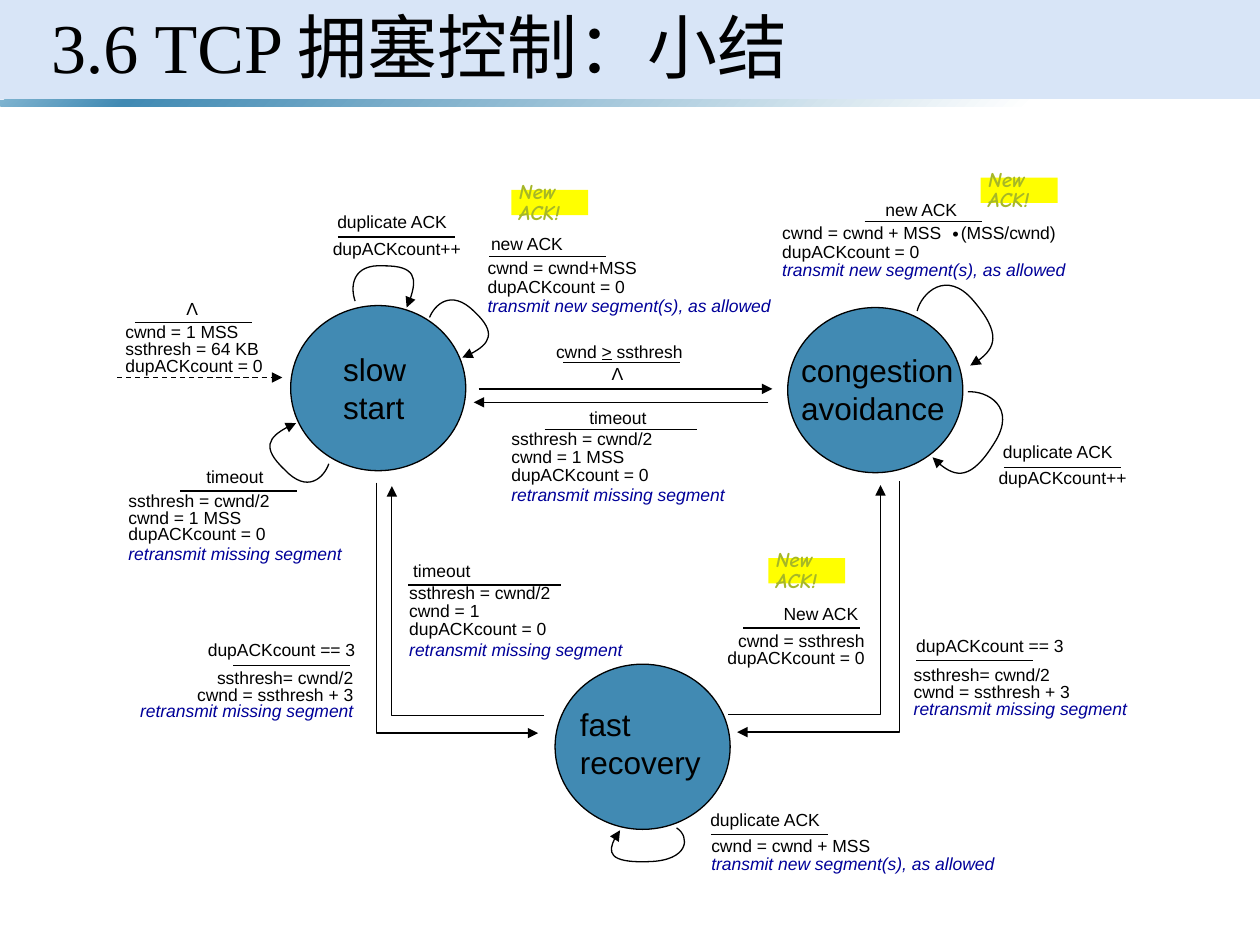
from dataclasses import dataclass

from lxml import etree
from pptx import Presentation, util as u
from pptx.dml.color import RGBColor
from pptx.enum import dml, shapes, text
from pptx.oxml import parse_xml
from pptx.oxml.ns import nsdecls, qn


@dataclass(frozen=True)
class Theme:
    ink: str = "000000"
    action: str = "000099"
    state: str = "418AB3"
    header: str = "C8DAF4"
    badge: str = "FFFF00"
    badge_ink: str = "A6B727"
    band: tuple = ((0, "7EB3D0"), (10, "418AB3"), (82, "FFFFFF"), (96, "FFFFFF"))
    sans: str = "Arial"
    serif: str = "Times New Roman"
    hand: str = "Comic Neue"
    label_size: int = 10
    badge_size: int = 12
    state_size: int = 18
    dot_size: int = 24
    title_size: int = 40
    stroke: float = 0.75


MISSING = "retransmit missing segment"
TRANSMIT = "transmit new segment(s), as allowed"
ACTIONS = (MISSING, TRANSMIT)
RESET = "dupACKcount = 0"

# Box width in cm for every text that sets the width of its box
WIDTHS = {
    "Λ": 0.76, "timeout": 1.75, "new ACK": 1.98, "New ACK": 2.03,
    "duplicate ACK": 2.76, "cwnd > ssthresh": 3.05, "dupACKcount++": 3.1,
    RESET: 3.28, "dupACKcount == 3": 3.48, MISSING: 4.83, TRANSMIT: 6.22,
}


def cm_points(points):
    return [(u.Cm(x), u.Cm(y)) for x, y in points]


class Diagram:
    def __init__(self, slide, theme):
        self.slide, self.theme = slide, theme

    def block(self, kind, x, y, width, height, fill, outlined=False):
        shape = self.slide.shapes.add_shape(kind, u.Cm(x), u.Cm(y), u.Cm(width), u.Cm(height))
        shape.shadow.inherit = False
        shape.fill.solid()
        shape.fill.fore_color.rgb = RGBColor.from_string(fill)
        if outlined:
            self.stroke(shape)
        else:
            shape.line.fill.background()
        return shape

    def stroke(self, shape, arrow=False, dashed=False):
        shape.line.color.rgb = RGBColor.from_string(self.theme.ink)
        shape.line.width = u.Pt(self.theme.stroke)
        if dashed:
            shape.line.dash_style = dml.MSO_LINE.DASH
        if arrow:
            etree.SubElement(shape.line._get_or_add_ln(), qn("a:tailEnd"), type="triangle")

    def line(self, x1, y, x2, arrow=False, dashed=False):
        """Horizontal line, its arrowhead at x2."""
        line = self.slide.shapes.add_connector(
            shapes.MSO_CONNECTOR.STRAIGHT, u.Cm(x1), u.Cm(y), u.Cm(x2), u.Cm(y))
        etree.SubElement(line._element.spPr, qn("a:effectLst"))
        self.stroke(line, arrow, dashed)

    def route(self, points):
        """Open arrow with straight legs."""
        start, *rest = cm_points(points)
        builder = self.slide.shapes.build_freeform(*start)
        builder.add_line_segments(rest, close=False)
        route = builder.convert_to_shape()
        route.shadow.inherit = False
        route.fill.background()
        self.stroke(route, arrow=True)
        return route

    def loop(self, points):
        """Open arrow of cubic curves: each three points after the first make one."""
        outline = self.route(points)._element.spPr.find(".//" + qn("a:path"))
        legs = outline.findall(qn("a:lnTo"))
        for first in range(0, len(legs), 3):
            curve = etree.SubElement(outline, qn("a:cubicBezTo"))
            for leg in legs[first:first + 3]:
                curve.append(leg[0])
                outline.remove(leg)

    def words(self, lines, x, y, width, height, size, font=None, color=None,
              spacing=1.0, right=False, wrap=False, bold=False, italic=False):
        box = self.slide.shapes.add_textbox(u.Cm(x), u.Cm(y), u.Cm(width), u.Cm(height))
        frame = box.text_frame
        frame.text = "\n".join(lines)
        frame.word_wrap = wrap
        frame.auto_size = text.MSO_AUTO_SIZE.SHAPE_TO_FIT_TEXT
        for line, paragraph in zip(lines, frame.paragraphs):
            paragraph.line_spacing = spacing
            paragraph.alignment = text.PP_ALIGN.RIGHT if right else text.PP_ALIGN.LEFT
            if "\t" in line:
                stops = etree.SubElement(paragraph._p.get_or_add_pPr(), qn("a:tabLst"))
                etree.SubElement(stops, qn("a:tab"), pos=str(u.Cm(3.6)), algn="l")
            for run in paragraph.runs:
                action = line in ACTIONS
                run.font.size = u.Pt(size)
                run.font.name = font or self.theme.sans
                run.font.bold = bold
                run.font.italic = italic or action
                run.font.color.rgb = RGBColor.from_string(
                    self.theme.action if action else color or self.theme.ink)
        return frame

    def label(self, event, event_at, rule_at, actions, actions_at,
              spacing=0.8, rule=2.36, right=False):
        """An event above a rule, with the resulting actions below it."""
        size = self.theme.label_size
        self.words([event], *event_at, WIDTHS[event], 0.69, size, right=right)
        self.line(rule_at[0], rule_at[1], rule_at[0] + rule)
        width = max(WIDTHS.get(action, 0) for action in actions)
        frame = self.words(actions, *actions_at, width, 0.25 + 0.37 * len(actions),
                           size, spacing=spacing, right=right)
        if len(actions) == 4:
            frame.paragraphs[-1].space_before = u.Pt(1.5)

    def state(self, names, x, y, names_x, names_y, names_width):
        self.block(shapes.MSO_SHAPE.OVAL, x, y, 3.53, 3.33, self.theme.state, outlined=True)
        self.words(names, names_x, names_y, names_width, 1.78, self.theme.state_size)

    def badge(self, x, y):
        self.block(shapes.MSO_SHAPE.RECTANGLE, x, y, 1.55, 0.51, self.theme.badge)
        self.words(["New", "ACK!"], x - 0.1, y - 0.25, 1.75, 1.07, self.theme.badge_size,
                   self.theme.hand, self.theme.badge_ink, 0.8, wrap=True, bold=True, italic=True)

    def header(self, title):
        rectangle = shapes.MSO_SHAPE.RECTANGLE
        panel = self.block(rectangle, 0, 0, 25.4, 2.01, self.theme.header)
        tint = panel._element.spPr.find(".//" + qn("a:srgbClr"))
        etree.SubElement(tint, qn("a:alpha"), val="70000")
        band = self.block(rectangle, 0, 2.01, 25.4, 0.13, self.theme.state)
        stops = "".join(f'<a:gs pos="{at * 1000}"><a:srgbClr val="{color}"/></a:gs>'
                        for at, color in self.theme.band)
        solid = band._element.spPr.find(qn("a:solidFill"))
        solid.getparent().replace(solid, parse_xml(
            f'<a:gradFill {nsdecls("a")}><a:gsLst>{stops}</a:gsLst>'
            '<a:lin ang="2700000" scaled="0"/></a:gradFill>'))
        frame = self.words([title], 0.78, 0, 23.88, 2.06, self.theme.title_size,
                           self.theme.serif, spacing=0.9, wrap=True)
        frame.auto_size = text.MSO_AUTO_SIZE.NONE
        frame.vertical_anchor = text.MSO_ANCHOR.MIDDLE


def main():
    deck = Presentation()
    deck.slide_width, deck.slide_height = u.Cm(25.4), u.Cm(19.05)
    theme = Theme()
    fsm = Diagram(deck.slides.add_slide(deck.slide_layouts[6]), theme)
    fsm.header("3.6 TCP 拥塞控制：小结")

    fsm.state(["slow", "start"], 5.86, 6.16, 6.67, 6.93, 1.96)
    fsm.state(["congestion", "avoidance"], 15.88, 6.2, 15.9, 6.96, 3.58)
    fsm.state(["fast", "recovery"], 11.19, 13.39, 11.44, 14.09, 3.12)

    # Transitions between states
    fsm.line(2.36, 7.61, 5.69, arrow=True, dashed=True)
    fsm.line(9.65, 7.84, 15.57, arrow=True)
    fsm.line(15.49, 8.11, 9.55, arrow=True)
    for route in (
        [(7.59, 9.73), (7.59, 14.78), (10.85, 14.78)],
        [(10.97, 14.43), (7.9, 14.43), (7.9, 9.8)],
        [(18.14, 9.7), (18.14, 14.76), (14.86, 14.76)],
        [(14.68, 14.4), (17.75, 14.4), (17.75, 9.78)],
    ):
        fsm.route(route)

    # Transitions back to the same state
    for loop in (
        [(7.16, 6.07), (7.06, 5.79), (7.09, 5.31), (7.75, 5.36), (8.38, 5.36), (8.43, 5.69), (8.2, 6.2)],
        [(8.66, 6.4), (8.76, 6.15), (9.09, 5.82), (9.55, 6.27), (10.03, 6.71), (9.83, 7.01), (9.32, 7.21)],
        [(6.63, 9.35), (6.53, 9.63), (6.2, 9.96), (5.74, 9.47), (5.26, 9.02), (5.46, 8.74), (5.97, 8.53)],
        [(18.49, 6.27), (18.57, 5.92), (19.08, 5.41), (19.63, 6.07), (20.19, 6.73), (20.04, 7.11), (19.56, 7.37)],
        [(19.51, 7.9), (19.89, 7.87), (20.52, 8.2), (20.04, 8.94), (19.58, 9.68), (19.18, 9.63), (18.8, 9.22)],
        [(13.64, 16.69), (13.92, 16.87), (13.89, 17.35), (13.08, 17.37), (12.24, 17.4), (12.24, 17.07), (12.5, 16.74)],
    ):
        fsm.loop(loop)

    halve, restart, inflate = "ssthresh = cwnd/2", "cwnd = 1 MSS", "cwnd = ssthresh + 3"
    timeout_actions = [halve, restart, RESET, MISSING]
    triple_actions = ["ssthresh= cwnd/2", inflate, MISSING]
    duplicate, triple = "duplicate ACK", "dupACKcount == 3"

    fsm.label("Λ", (3.51, 5.88), (2.72, 6.5), [restart, "ssthresh = 64 KB", RESET], (2.28, 6.43))
    fsm.label(duplicate, (6.55, 4.13), (6.81, 4.78), ["dupACKcount++"], (6.46, 4.75))
    fsm.label("new ACK", (9.65, 4.57), (9.86, 5.17),
              ["cwnd = cwnd+MSS", RESET, TRANSMIT], (9.58, 5.11), 0.9)
    fsm.label("timeout", (3.91, 9.27), (3.63, 9.9), timeout_actions, (2.34, 9.83))
    fsm.label("cwnd > ssthresh", (10.96, 6.75), (11.35, 7.31), ["Λ"], (12.08, 7.27))
    fsm.line(12.14, 7.24, 12.34)
    fsm.label("timeout", (11.63, 8.08), (10.98, 8.66), timeout_actions, (10.06, 8.57), 0.85, 3.08)
    fsm.label("new ACK", (17.6, 3.89), (17.43, 4.47),
              ["cwnd = cwnd + MSS\t(MSS/cwnd)", RESET, TRANSMIT], (15.52, 4.39), 0.9)
    fsm.words(["."], 18.91, 3.8, 0.71, 1.27, theme.dot_size, theme.serif)
    fsm.label(duplicate, (19.97, 8.76), (20.24, 9.42), ["dupACKcount++"], (19.88, 9.37))
    fsm.label(triple, (3.93, 12.76), (4.7, 13.41), triple_actions, (2.54, 13.4), right=True)
    fsm.label("timeout", (8.08, 11.17), (8.23, 11.79),
              [halve, "cwnd = 1", RESET, MISSING], (8, 11.68), 0.85, 3.08)
    fsm.label("New ACK", (15.52, 12.03), (14.98, 12.66),
              ["cwnd = ssthresh", RESET], (14.4, 12.66), right=True)
    fsm.label(triple, (18.22, 12.68), (18.47, 13.31), triple_actions, (18.17, 13.35))
    fsm.label(duplicate, (14.07, 16.18), (14.33, 16.83),
              ["cwnd = cwnd + MSS", TRANSMIT], (14.09, 16.77), 0.85)

    for corner in ((15.49, 11.25), (10.31, 3.83), (19.77, 3.58)):
        fsm.badge(*corner)
    deck.save("out.pptx")


if __name__ == "__main__":
    main()
